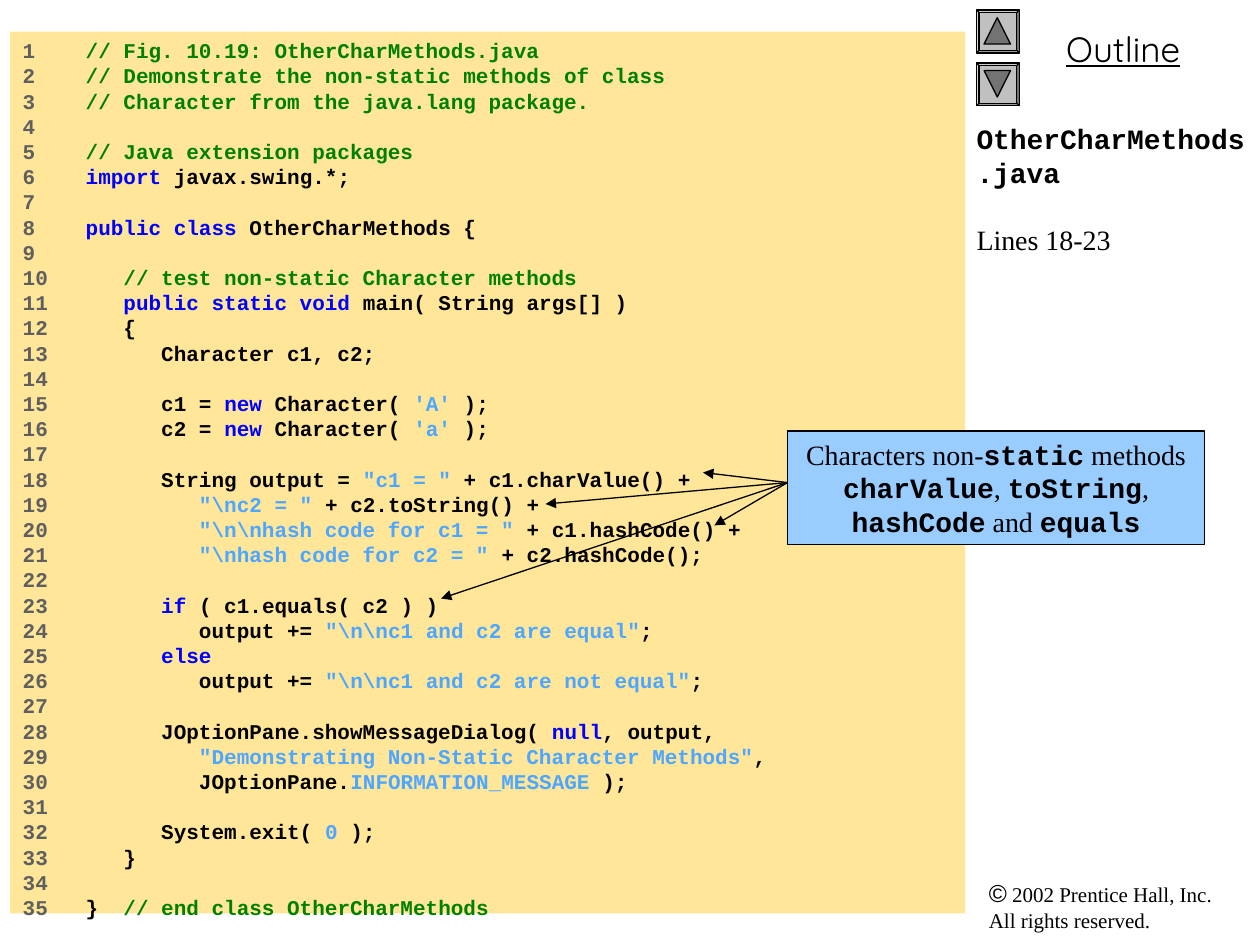
from lxml import etree
from pptx import Presentation
from pptx import util as u
from pptx.dml.color import RGBColor
from pptx.enum import shapes, text
from pptx.oxml import ns

COLORS = {
    "number": "5F5F5F", "comment": "008000", "keyword": "0000FF",
    "literal": "4DA6FF", "plain": "000000", "panel": "FFE699",
    "callout": "99CCFF", "button": "C0C0C0", "triangle": "737373",
}
MONO, SERIF = "Courier New", "Times New Roman"

CODE = [
    [("comment", "// Fig. 10.19: OtherCharMethods.java")],
    [("comment", "// Demonstrate the non-static methods of class")],
    [("comment", "// Character from the java.lang package.")],
    [],
    [("comment", "// Java extension packages")],
    [("keyword", "import"), ("plain", " javax.swing.*;")],
    [],
    [("keyword", "public class"), ("plain", " OtherCharMethods {")],
    [],
    [("comment", "   // test non-static Character methods")],
    [("keyword", "   public static void"), ("plain", " main( String args[] )")],
    [("plain", "   {")],
    [("plain", "      Character c1, c2;")],
    [],
    [("plain", "      c1 = "), ("keyword", "new"), ("plain", " Character( "),
     ("literal", "'A'"), ("plain", " );")],
    [("plain", "      c2 = "), ("keyword", "new"), ("plain", " Character( "),
     ("literal", "'a'"), ("plain", " );")],
    [],
    [("plain", "      String output = "), ("literal", '"c1 = "'), ("plain", " + c1.charValue() +")],
    [("literal", r'         "\nc2 = "'), ("plain", " + c2.toString() +")],
    [("literal", r'         "\n\nhash code for c1 = "'), ("plain", " + c1.hashCode() +")],
    [("literal", r'         "\nhash code for c2 = "'), ("plain", " + c2.hashCode();")],
    [],
    [("keyword", "      if"), ("plain", " ( c1.equals( c2 ) )")],
    [("plain", "         output += "), ("literal", r'"\n\nc1 and c2 are equal"'), ("plain", ";")],
    [("keyword", "      else")],
    [("plain", "         output += "), ("literal", r'"\n\nc1 and c2 are not equal"'), ("plain", ";")],
    [],
    [("plain", "      JOptionPane.showMessageDialog( "), ("keyword", "null"), ("plain", ", output,")],
    [("literal", '         "Demonstrating Non-Static Character Methods"'), ("plain", ",")],
    [("plain", "         JOptionPane."), ("literal", "INFORMATION_MESSAGE"), ("plain", " );")],
    [],
    [("plain", "      System.exit( "), ("literal", "0"), ("plain", " );")],
    [("plain", "   }")],
    [],
    [("plain", "}  "), ("comment", "// end class OtherCharMethods")],
]
TITLE = [("OtherCharMethods.java", MONO, True, 0), ("Lines 18-23", SERIF, False, 19.6)]
CALLOUT = [
    ("Characters non-", False), ("static", True), (" methods ", False),
    ("charValue", True), (", ", False), ("toString", True), (", ", False),
    ("hashCode", True), (" and ", False), ("equals", True),
]
ARROW_START = (6.25, 3.83)
ARROW_ENDS = [(5.58, 3.75), (4.33, 4), (5.67, 4.17), (3.5, 4.75)]
BUTTONS = [(0.08, 0.06, 0), (0.5, 0.06, 180)]


def color(name):
    return RGBColor.from_string(COLORS[name])


def place(shape, left, top, width, height):
    shape.left, shape.top = u.Inches(left), u.Inches(top)
    shape.width, shape.height = u.Inches(width), u.Inches(height)


def prepare_frame(shape, left_inset=0.1):
    frame = shape.text_frame
    frame.word_wrap = True
    frame.auto_size = text.MSO_AUTO_SIZE.NONE
    frame.vertical_anchor = text.MSO_ANCHOR.TOP
    frame.margin_left, frame.margin_right = u.Inches(left_inset), u.Inches(0.1)
    frame.margin_top = frame.margin_bottom = u.Inches(0.05)
    return frame


def get_paragraph(frame, index, alignment=text.PP_ALIGN.LEFT, spacing=None, before=0):
    paragraph = frame.add_paragraph() if index else frame.paragraphs[0]
    paragraph.alignment = alignment
    paragraph.space_before = u.Pt(before)
    if spacing:
        paragraph.line_spacing = u.Pt(spacing)
    return paragraph


def add_run(paragraph, words, size, font, bold=False, shade="plain", underline=False):
    run = paragraph.add_run()
    run.text = words
    run.font.size, run.font.name = u.Pt(size), font
    run.font.bold, run.font.underline = bold, underline
    run.font.color.rgb = color(shade)


def add_filled(slide, kind, box, fill):
    shape = slide.shapes.add_shape(kind, *map(u.Inches, box))
    shape.shadow.inherit = False
    shape.fill.solid()
    shape.fill.fore_color.rgb = color(fill)
    shape.line.color.rgb = color("plain")
    shape.line.width = u.Pt(0.75)
    return shape


def add_arrow(slide, start, end):
    arrow = slide.shapes.add_connector(
        shapes.MSO_CONNECTOR.STRAIGHT, *map(u.Inches, start + end))
    arrow.line.color.rgb = color("plain")
    arrow.line.width = u.Pt(0.75)
    etree.SubElement(arrow.line._get_or_add_ln(), ns.qn("a:tailEnd"), type="triangle")
    etree.SubElement(arrow._element.spPr, ns.qn("a:effectLst"))


def add_title(slide):
    place(slide.shapes.title, 7.75, 0.92, 2.25, 6)
    frame = prepare_frame(slide.shapes.title, 0)
    for index, (words, font, bold, before) in enumerate(TITLE):
        paragraph = get_paragraph(frame, index, spacing=19.05, before=before)
        add_run(paragraph, words, 16, font, bold)


def add_code(slide):
    panel = slide.placeholders[1]
    place(panel, 0.08, 0.25, 7.58, 7)
    panel.fill.solid()
    panel.fill.fore_color.rgb = color("panel")
    frame = prepare_frame(panel)
    for index, line in enumerate(CODE):
        paragraph = get_paragraph(frame, index, spacing=14.4)
        number = f"{index + 1:<5}" if line else str(index + 1)
        for shade, words in [("number", number)] + line:
            add_run(paragraph, words, 12, MONO, True, shade)


def add_sidebar(slide):
    outline = slide.shapes.add_textbox(*map(u.Inches, (7.83, 0.17, 2.17, 0.44)))
    paragraph = get_paragraph(prepare_frame(outline), 0, text.PP_ALIGN.CENTER)
    add_run(paragraph, "Outline", 20, "Quicksand", underline=True)

    rights = slide.shapes.add_textbox(*map(u.Inches, (7.75, 6.92, 2.17, 0.54)))
    paragraph = get_paragraph(prepare_frame(rights), 0)
    add_run(paragraph, "©", 14, "Arial")
    add_run(paragraph, " 2002 Prentice Hall, Inc.", 12, SERIF)
    paragraph.add_line_break()
    add_run(paragraph, "All rights reserved.", 12, SERIF)

    for top, offset, rotation in BUTTONS:
        button = add_filled(slide, shapes.MSO_SHAPE.BEVEL, (7.75, top, 0.34, 0.34), "button")
        button.adjustments[0] = 0.06
        triangle = add_filled(slide, shapes.MSO_SHAPE.ISOSCELES_TRIANGLE,
                              (7.81, top + offset, 0.21, 0.21), "triangle")
        triangle.rotation = rotation


def add_callout(slide):
    callout = add_filled(slide, shapes.MSO_SHAPE.RECTANGLE, (6.25, 3.42, 3.31, 0.9), "callout")
    paragraph = get_paragraph(prepare_frame(callout), 0, text.PP_ALIGN.CENTER)
    for words, is_code in CALLOUT:
        add_run(paragraph, words, 16, MONO if is_code else SERIF, is_code)
    for end in ARROW_ENDS:
        add_arrow(slide, ARROW_START, end)


def main():
    presentation = Presentation()
    presentation.slide_width, presentation.slide_height = u.Inches(10), u.Inches(7.5)
    slide = presentation.slides.add_slide(presentation.slide_layouts[0])
    add_title(slide)
    add_code(slide)
    add_sidebar(slide)
    add_callout(slide)
    presentation.save("out.pptx")


if __name__ == "__main__":
    main()
